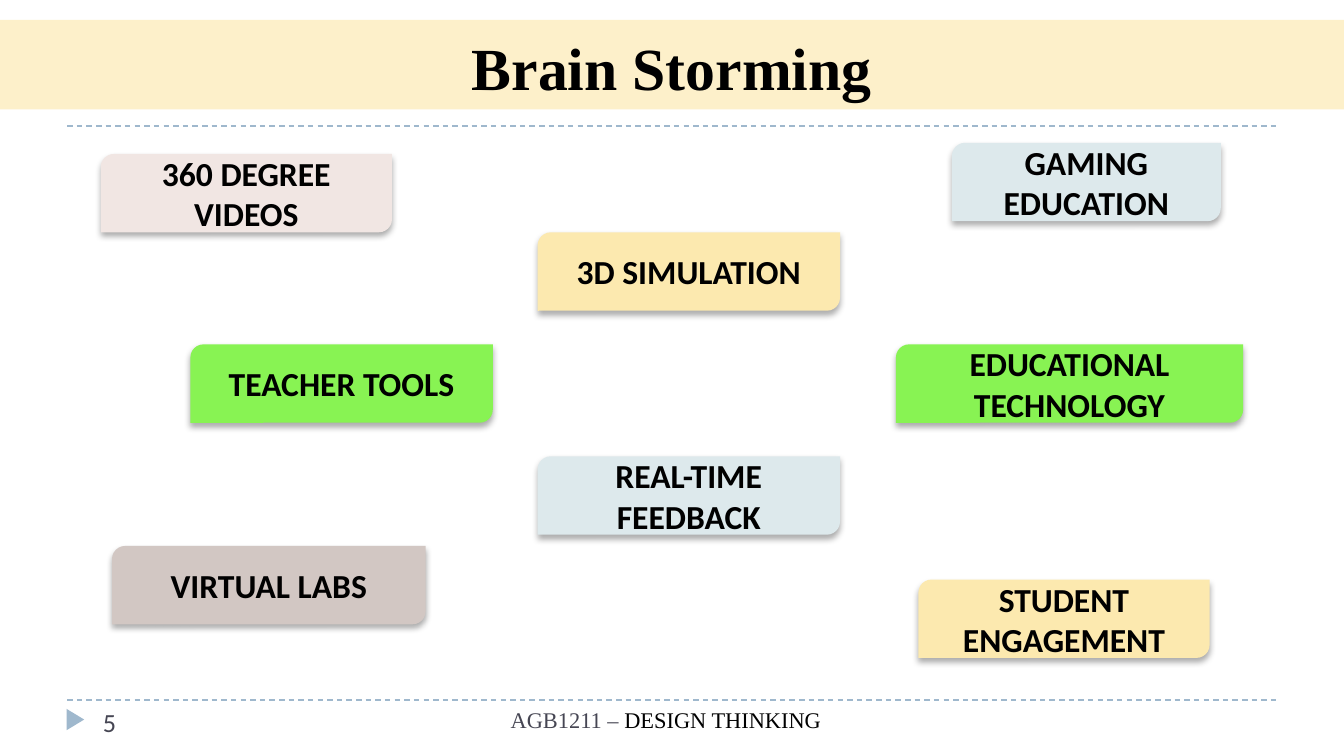
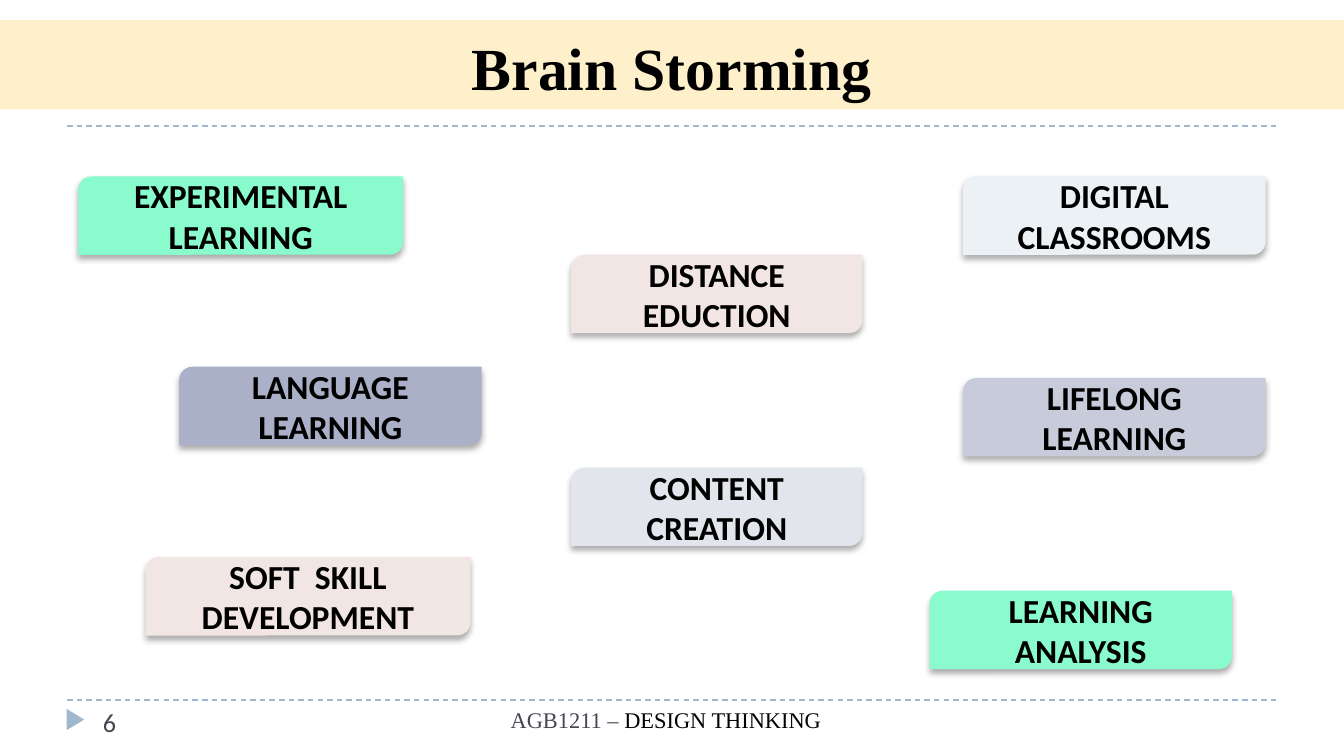
from lxml import etree
from pptx import Presentation
from pptx import util as u
from pptx.dml.color import RGBColor
from pptx.enum import dml, shapes, text
from pptx.oxml import ns

BLACK, GREY, BLUE, BAND = "000000", "464653", "9FB8CD", "FDF0CA"
PINK, LIME, PALE_BLUE, SAND, MINT = "F1E6E3", "88F353", "DDE9EC", "FCE9AF", "89FBCD"
TITLE_FONT, BODY_FONT = "Times New Roman", "Calibri"
IDEA_HEIGHT = 42

PAGES = [
    (5, [
        ("360 DEGREE VIDEOS", 54, 82.5, 156, PINK),
        ("TEACHER TOOLS", 102, 184.5, 162, LIME),
        ("REAL-TIME FEEDBACK", 288, 244.5, 162, PALE_BLUE),
        ("VIRTUAL LABS", 60, 292.5, 168, "D2C7C3"),
        ("GAMING EDUCATION", 510, 76.5, 144, PALE_BLUE),
        ("STUDENT ENGAGEMENT", 492, 310.5, 156, SAND),
        ("EDUCATIONAL TECHNOLOGY", 480, 184.5, 186, LIME),
        ("3D SIMULATION", 288, 124.5, 162, SAND),
    ]),
    (6, [
        ("EXPERIMENTAL LEARNING", 42, 94.5, 174, MINT),
        ("SOFT  SKILL DEVELOPMENT", 78, 298.5, 174, PINK),
        ("LANGUAGE LEARNING", 96, 196.5, 162, "AAB0C8"),
        ("CONTENT CREATION", 306, 250.5, 156, "E3E5ED"),
        ("LEARNING ANALYSIS", 498, 316.5, 162, MINT),
        ("LIFELONG LEARNING", 516, 202.5, 162, "C7CBDA"),
        ("DISTANCE EDUCTION", 306, 136.5, 156, PINK),
        ("DIGITAL CLASSROOMS", 516, 94.5, 162, "ECF1F5"),
    ]),
]


def paint(color_format, value):
    if hasattr(color_format, "solid"):
        color_format.solid()
        color_format = color_format.fore_color
    color_format.rgb = RGBColor.from_string(value)


def write(box, spans, font, size, align, bold=False):
    box.text_frame.word_wrap = True
    para = box.text_frame.paragraphs[0]
    para.alignment = align
    para.font.name, para.font.size, para.font.bold = font, u.Pt(size), bold
    for words, color in spans:
        span = para.add_run()
        span.text = words
        paint(span.font.color, color)


CENTER, LEFT = text.PP_ALIGN.CENTER, text.PP_ALIGN.LEFT
deck = Presentation()
deck.slide_width, deck.slide_height = u.Pt(720), u.Pt(405)

for number, ideas in PAGES:
    page = deck.slides.add_slide(deck.slide_layouts[5])

    title = page.shapes.title
    title.left, title.top, title.width, title.height = u.Pt(0), u.Pt(10.6), u.Pt(720), u.Pt(48)
    paint(title.fill, BAND)
    title.text_frame.vertical_anchor = text.MSO_ANCHOR.BOTTOM
    title.text_frame.auto_size = text.MSO_AUTO_SIZE.NONE
    write(title, [("Brain Storming", BLACK)], TITLE_FONT, 32, CENTER, True)

    for y in (375, 67.5):
        rule = page.shapes.add_connector(
            shapes.MSO_CONNECTOR.STRAIGHT, u.Pt(36), u.Pt(y), u.Pt(684), u.Pt(y))
        paint(rule.line.color, BLUE)
        rule.line.width = u.Pt(0.75)
        rule.line.dash_style = dml.MSO_LINE.DASH
        etree.SubElement(rule.element.spPr, ns.qn("a:effectLst"))

    marker = page.shapes.add_shape(
        shapes.MSO_SHAPE.ISOSCELES_TRIANGLE, u.Pt(34.7), u.Pt(380.8), u.Pt(11.4), u.Pt(9.4))
    marker.rotation = 90
    marker.shadow.inherit = False
    paint(marker.fill, BLUE)
    marker.line.fill.background()

    footer = page.shapes.add_textbox(u.Pt(198), u.Pt(375), u.Pt(317.5), u.Pt(29.5))
    write(footer, [("AGB1211 – ", GREY), ("DESIGN THINKING", BLACK)], TITLE_FONT, 12, CENTER)
    page_number = page.shapes.add_textbox(u.Pt(48), u.Pt(375), u.Pt(156), u.Pt(21.6))
    write(page_number, [(str(number), GREY)], BODY_FONT, 14, LEFT)

    for words, left, top, width, color in ideas:
        idea = page.shapes.add_shape(
            shapes.MSO_SHAPE.ROUND_2_DIAG_RECTANGLE,
            u.Pt(left), u.Pt(top), u.Pt(width), u.Pt(IDEA_HEIGHT))
        paint(idea.fill, color)
        idea.line.fill.background()
        idea.shadow.inherit = False
        effects = idea.element.spPr.find(ns.qn("a:effectLst"))
        shadow = etree.SubElement(
            effects, ns.qn("a:outerShdw"), blurRad=str(u.Pt(3.5)), dist=str(u.Pt(2.2)),
            dir="5400000", rotWithShape="0")
        tint = etree.SubElement(shadow, ns.qn("a:srgbClr"), val=BLACK)
        etree.SubElement(tint, ns.qn("a:alpha"), val="32000")
        idea.text_frame.vertical_anchor = text.MSO_ANCHOR.MIDDLE
        write(idea, [(words, BLACK)], BODY_FONT, 18, CENTER, True)

deck.save("out.pptx")
